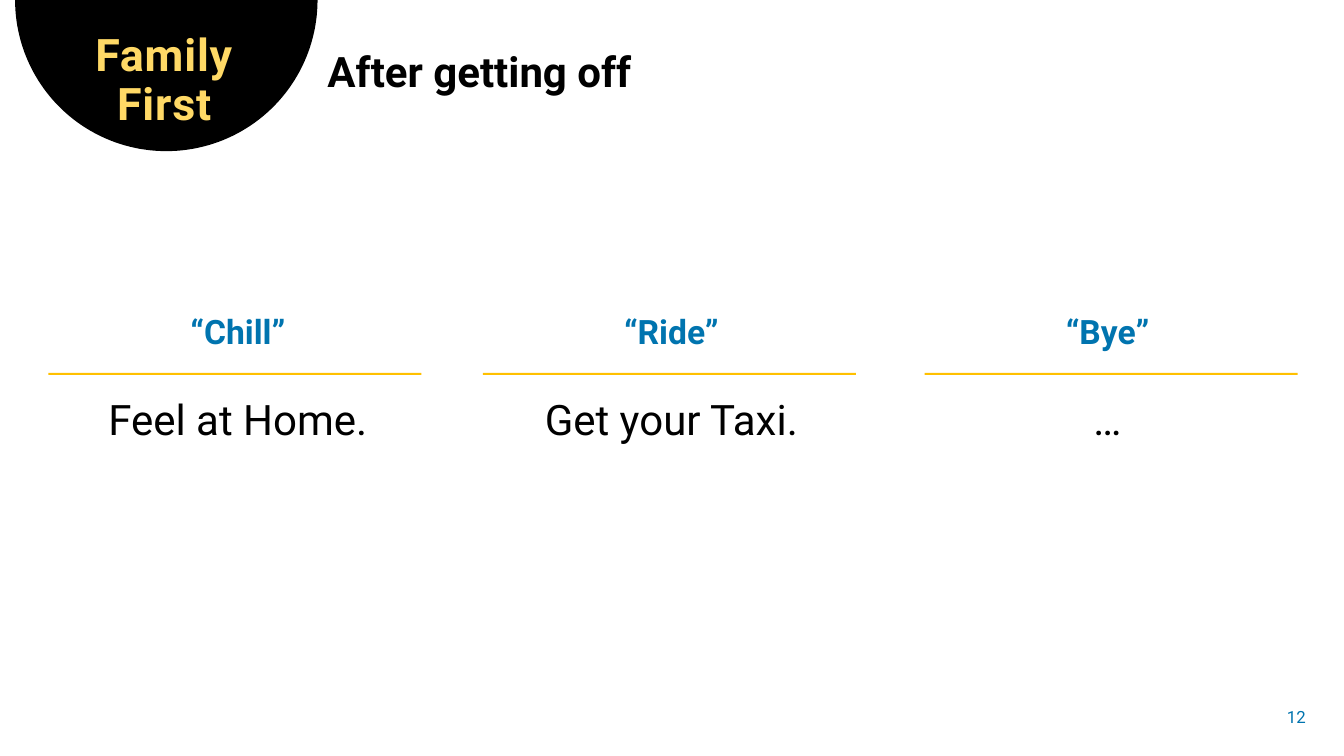
import math

import pptx
import pptx.dml.color
import pptx.enum.shapes
import pptx.enum.text
import pptx.util

BLACK = pptx.dml.color.RGBColor(0x00, 0x00, 0x00)
BLUE = pptx.dml.color.RGBColor(0x00, 0x74, 0xAF)
GOLD = pptx.dml.color.RGBColor(0xFF, 0xC0, 0x00)
PALE_GOLD = pptx.dml.color.RGBColor(0xFF, 0xD9, 0x66)

FONT = "Roboto"
SLIDE_WIDTH, SLIDE_HEIGHT = 13.33, 7.5
COLUMN_TOP, COLUMN_HEIGHT = 3.08, 1.4
RULE_TOP, RULE_WIDTH, RULE_HEIGHT = 3.7, 3.7, 0.02
ALIGN = pptx.enum.text.PP_ALIGN

# Heading, message, text left, text width, rule left
COLUMNS = [
    ("“Chill”", "Feel at Home.", 0.33, 4.06, 0.48),
    ("“Ride”", "Get your Taxi.", 4.56, 4.2, 4.79),
    ("“Bye”", "…", 8.92, 4.13, 9.17),
]


def inches(*lengths):
    """Convert lengths in inches to slide units."""
    return [pptx.util.Inches(length) for length in lengths]


def paint(shape, color):
    """Give a shape a flat fill with no outline or shadow."""
    shape.fill.solid()
    shape.fill.fore_color.rgb = color
    shape.line.fill.background()
    shape.shadow.inherit = False


def add_half_disc(slide, center_x, radius, color, steps=90):
    """Draw a half disc hanging from the top edge of the slide."""
    angles = [math.pi * step / steps for step in range(steps + 1)]
    points = [inches(center_x + radius * math.cos(a), radius * math.sin(a))
              for a in angles]
    outline = slide.shapes.build_freeform(*points[0])
    outline.add_line_segments(points[1:], close=True)
    paint(outline.convert_to_shape(), color)


def add_text_frame(slide, left, top, width, height, side_inset=0.1):
    """Add a wrapping text box and return its text frame."""
    frame = slide.shapes.add_textbox(*inches(left, top, width, height)).text_frame
    frame.word_wrap = True
    frame.margin_left, frame.margin_right = inches(side_inset, side_inset)
    return frame


def set_paragraph(paragraph, text, size, color, bold=False, align=ALIGN.LEFT,
                  before=0, after=0, spacing=0.9):
    """Fill a paragraph with text and set its format."""
    paragraph.text = text
    paragraph.alignment = align
    paragraph.line_spacing = spacing
    paragraph.space_before = pptx.util.Pt(before)
    paragraph.space_after = pptx.util.Pt(after)
    paragraph.font.name = FONT
    paragraph.font.size = pptx.util.Pt(size)
    paragraph.font.bold = bold
    paragraph.font.color.rgb = color


def add_column(slide, heading, message, left, width, rule_left):
    """Add a heading and message with a gold rule between them."""
    frame = add_text_frame(slide, left, COLUMN_TOP, width, COLUMN_HEIGHT)
    set_paragraph(frame.paragraphs[0], heading, 24, BLUE, True, ALIGN.CENTER, 10, 24)
    body = frame.add_paragraph()
    set_paragraph(body, message, 30, BLACK, False, ALIGN.CENTER, 10, 12)
    body.level = 1
    body._p.get_or_add_pPr().set("marL", "0")
    rule = slide.shapes.add_shape(
        pptx.enum.shapes.MSO_SHAPE.RECTANGLE,
        *inches(rule_left, RULE_TOP, RULE_WIDTH, RULE_HEIGHT))
    paint(rule, GOLD)


def add_title(slide):
    """Add the two-line title inside the half disc."""
    frame = add_text_frame(slide, 0.33, 0.28, 2.6, 0.59, side_inset=0.3)
    title = frame.paragraphs[0]
    set_paragraph(title, "Family First", 32, PALE_GOLD, True, ALIGN.CENTER)
    title.runs[0].font._element.set("spc", "60")


def add_subtitle(slide):
    """Add the subtitle to the right of the half disc."""
    frame = add_text_frame(slide, 3.15, 0.46, 9.93, 0.56)
    set_paragraph(frame.paragraphs[0], "After getting off", 30, BLACK, True, before=10)


def add_page_number(slide):
    """Add the page number in the bottom right corner."""
    frame = add_text_frame(slide, 12.5, 6.91, 0.55, 0.4)
    frame.word_wrap = False
    frame.vertical_anchor = pptx.enum.text.MSO_ANCHOR.MIDDLE
    set_paragraph(frame.paragraphs[0], "12", 12, BLUE, align=ALIGN.RIGHT, spacing=1.0)


def main():
    """Build the slide and save it."""
    deck = pptx.Presentation()
    deck.slide_width, deck.slide_height = inches(SLIDE_WIDTH, SLIDE_HEIGHT)
    slide = deck.slides.add_slide(deck.slide_layouts[6])
    add_half_disc(slide, center_x=1.65, radius=1.5, color=BLACK)
    for column in COLUMNS:
        add_column(slide, *column)
    add_title(slide)
    add_subtitle(slide)
    add_page_number(slide)
    deck.save("out.pptx")


main()
